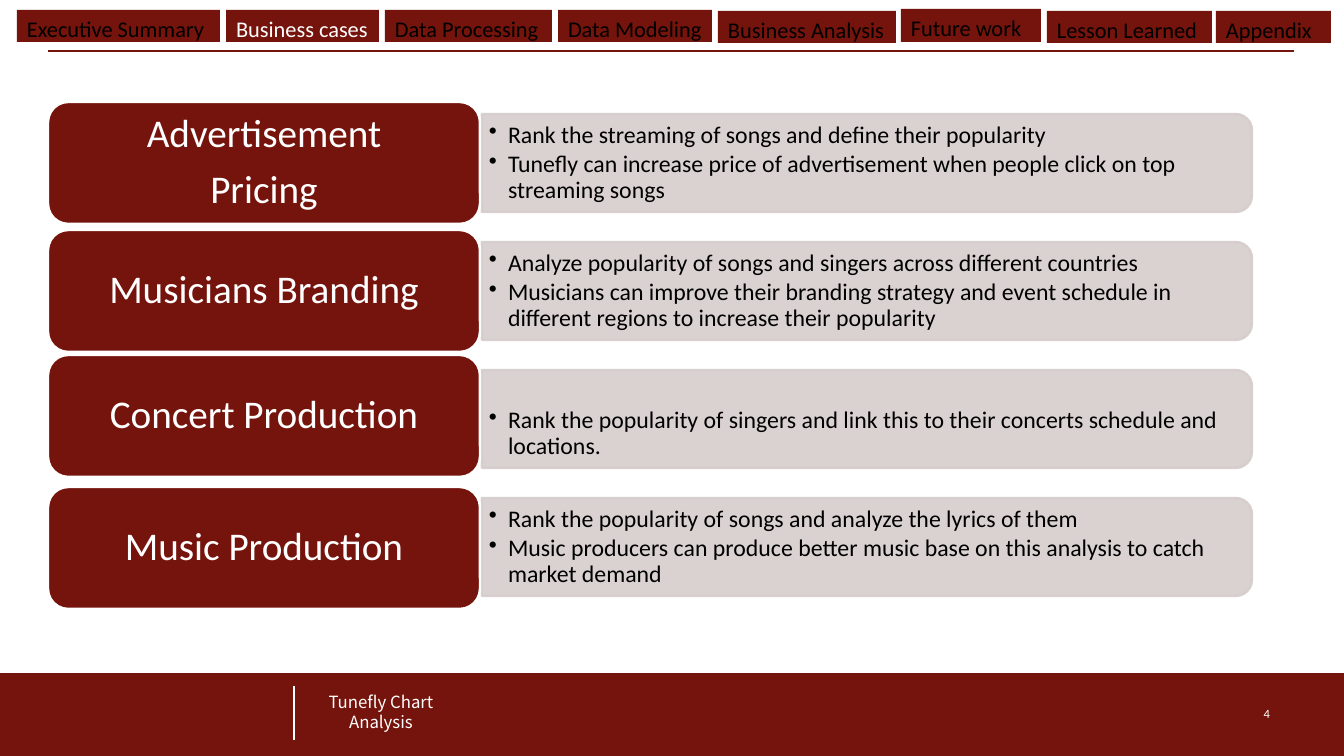
from dataclasses import dataclass

from lxml.etree import SubElement
from pptx import Presentation
from pptx.dml.color import RGBColor
from pptx.enum.shapes import MSO_CONNECTOR as Connector, MSO_SHAPE as Shape
from pptx.enum.text import MSO_ANCHOR as Anchor, PP_ALIGN as Align
from pptx.oxml.ns import qn
from pptx.util import Pt


@dataclass(frozen=True)
class Theme:
    maroon: str = "75140C"
    panel: str = "D6CCCC"
    white: str = "FFFFFF"
    black: str = "000000"
    font: str = "Calibri"
    footer_font: str = "Noto Sans CJK KR"
    heading_size: int = 28
    body_size: int = 17
    tab_size: int = 16
    footer_size: int = 12
    number_size: int = 9
    line_width: float = 1.75
    panel_opacity: int = 90


def px(length):
    return round(length * 914400 / 100.8)


def set_opacity(fill, color, percent):
    """Give a solid fill a colour with partial transparency."""
    fill.solid()
    fill.fore_color.rgb = RGBColor.from_string(color)


def write(frame, lines, *, size, color, font, align=Align.LEFT, anchor=Anchor.TOP,
          insets=(10, 5, 10, 5), wrap=True, spacing=None, after=0, indent=0):
    """Fill a text frame, one paragraph a line; an indent makes bullets."""
    frame.word_wrap = wrap
    frame.vertical_anchor = anchor
    (frame.margin_left, frame.margin_top,
     frame.margin_right, frame.margin_bottom) = map(px, insets)
    for index, line in enumerate(lines):
        para = frame.paragraphs[0] if index == 0 else frame.add_paragraph()
        para.alignment = align
        para.line_spacing = spacing
        para.space_after = Pt(after)
        if indent:
            properties = para._p.get_or_add_pPr()
            properties.set("marL", str(px(indent)))
            properties.set("indent", str(-px(indent)))
            SubElement(properties, qn("a:buChar"), char="•")
        span = para.add_run()
        span.text = line
        span.font.name = font
        span.font.size = Pt(size)
        span.font.color.rgb = RGBColor.from_string(color)


class SlideBuilder:
    def __init__(self, slide, theme):
        self.slide = slide
        self.theme = theme

    def block(self, kind, left, top, width, height, fill, line=None, opacity=100):
        box = self.slide.shapes.add_shape(kind, *map(px, (left, top, width, height)))
        box.shadow.inherit = False
        paints = [box.fill]
        if line:
            box.line.width = Pt(self.theme.line_width)
            paints.append(box.line.fill)
        else:
            box.line.fill.background()
        for paint, color in zip(paints, (fill, line)):
            paint.solid()
            paint.fore_color.rgb = RGBColor.from_string(color)
        if opacity < 100:
            for tint in box._element.spPr.iter(qn("a:srgbClr")):
                SubElement(tint, qn("a:alpha"), val=str(opacity * 1000))
        return box

    def rule(self, x1, y1, x2, y2, color, width):
        line = self.slide.shapes.add_connector(Connector.STRAIGHT, *map(px, (x1, y1, x2, y2)))
        line.line.color.rgb = RGBColor.from_string(color)
        line.line.width = Pt(width)
        SubElement(line._element.spPr, qn("a:effectLst"))

    def text(self, left, top, width, height, lines, **style):
        box = self.slide.shapes.add_textbox(*map(px, (left, top, width, height)))
        write(box.text_frame, lines, **style)

    def tab(self, label, left, top, width, height, active):
        theme = self.theme
        box = self.block(Shape.RECTANGLE, left, top, width, height, theme.maroon)
        write(box.text_frame, [label], size=theme.tab_size, font=theme.font,
              color=theme.white if active else theme.black, insets=(10, 5, 0, 5))

    def panel(self, left, top, width, height, bullets, top_gap):
        # The shape stands upright and is turned so its round corners face right
        theme = self.theme
        shift = (width - height) / 2
        box = self.block(Shape.ROUND_2_SAME_RECTANGLE, left + shift, top - shift, height, width,
                         theme.panel, theme.panel, theme.panel_opacity)
        box.rotation = 90
        self.text(left, top + 5, width - 5, height - 10, bullets, size=theme.body_size,
                  color=theme.black, font=theme.font, anchor=Anchor.MIDDLE,
                  insets=(7, 4 + top_gap, 7, 4), spacing=0.9, after=2.55, indent=19)

    def heading(self, left, top, width, height, lines):
        theme = self.theme
        box = self.block(Shape.ROUNDED_RECTANGLE, left, top, width, height,
                         theme.maroon, theme.white)
        write(box.text_frame, lines, size=theme.heading_size, color=theme.white,
              font=theme.font, align=Align.CENTER, anchor=Anchor.MIDDLE,
              insets=(12, 6, 12, 6), spacing=0.9, after=9.8)


# Label, left, top, width, height
TABS = [
    ("Executive Summary", 17, 10, 203, 32),
    ("Business cases", 226, 10, 153, 32),
    ("Data Processing", 385, 10, 167, 32),
    ("Data Modeling", 558, 10, 154, 32),
    ("Business Analysis", 718, 11, 178, 32),
    ("Future work", 901, 9, 140, 33),
    ("Lesson Learned", 1047, 11, 165, 32),
    ("Appendix", 1216, 11, 115, 32),
]
ACTIVE_TAB = "Business cases"

# Heading top, heading lines, gap above the bullets, bullets
CASES = [
    (102, ["Advertisement", "Pricing"], 0,
     ["Rank the streaming of songs and define their popularity",
      "Tunefly can increase price of advertisement when people click on top streaming songs"]),
    (230, ["Musicians Branding"], 0,
     ["Analyze popularity of songs and singers across different countries",
      "Musicians can improve their branding strategy and event schedule in "
      "different regions to increase their popularity"]),
    (355, ["Concert Production"], 30,
     ["Rank the popularity of singers and link this to their concerts schedule and locations."]),
    (487, ["Music Production"], 0,
     ["Rank the popularity of songs and analyze the lyrics of them",
      "Music producers can produce better music base on this analysis to catch market demand"]),
]
PANEL_TOP, PANEL_PITCH = 114, 128


def main():
    deck = Presentation()
    deck.slide_width, deck.slide_height = px(1344), px(756)
    theme = Theme()
    page = SlideBuilder(deck.slides.add_slide(deck.slide_layouts[6]), theme)

    # Footer
    page.block(Shape.RECTANGLE, 0, 673, 1344, 83, theme.maroon)
    page.text(317, 687, 128, 50, ["Tunefly Chart", "Analysis"], size=theme.footer_size,
              color=theme.white, font=theme.footer_font, align=Align.CENTER, wrap=False)
    page.rule(294, 740, 294, 686, theme.white, 1)

    # Navigation
    page.rule(48, 51, 1294, 51, theme.maroon, theme.line_width)
    for label, *place in TABS:
        page.tab(label, *place, active=label == ACTIVE_TAB)

    # Business cases
    for row, (top, lines, gap, bullets) in enumerate(CASES):
        page.panel(482, PANEL_TOP + row * PANEL_PITCH, 770, 98, bullets, gap)
        page.heading(48, top, 432, 122, lines)

    # Slide number
    page.text(1164, 693, 116, 40, ["4"], size=theme.number_size, color=theme.white,
              font=theme.font, align=Align.RIGHT, anchor=Anchor.MIDDLE)

    deck.save("out.pptx")


if __name__ == "__main__":
    main()
